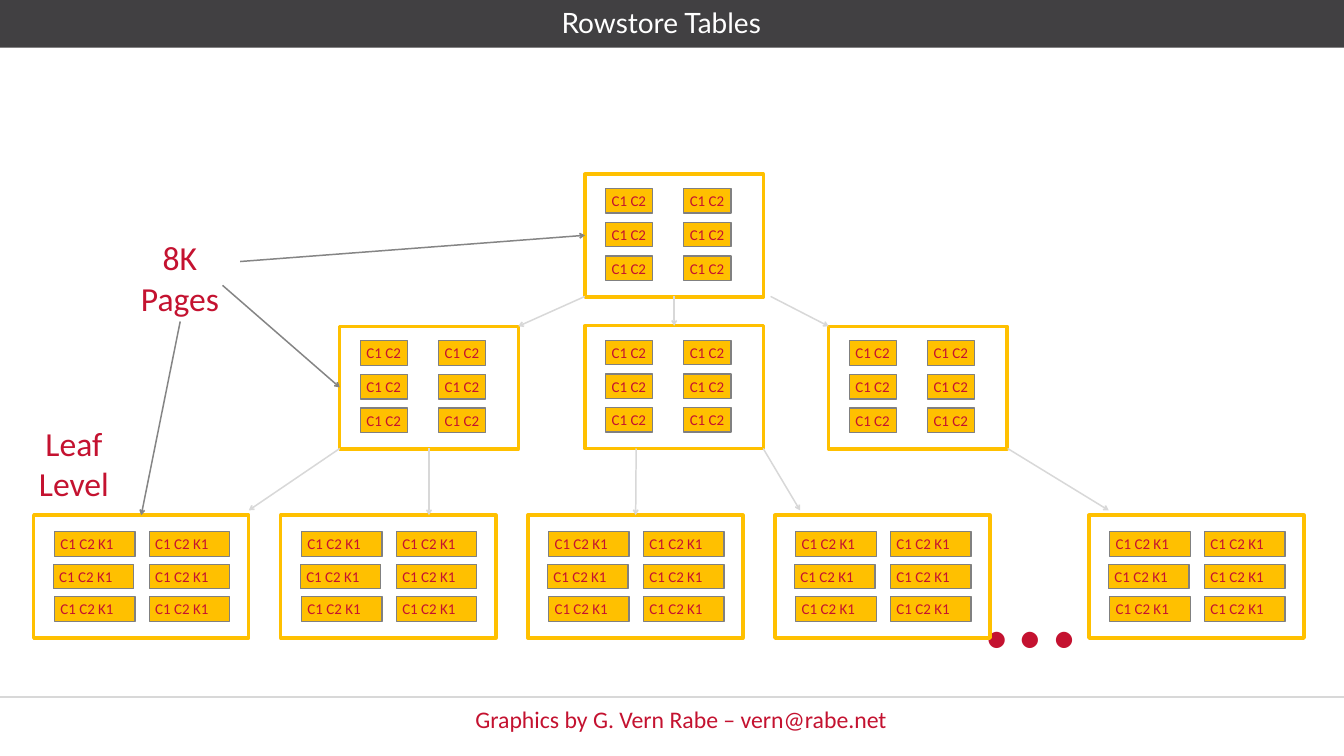
from collections import namedtuple
from itertools import product

from pptx import Presentation
from pptx import util as u
from pptx.dml.color import RGBColor
from pptx.enum import shapes, text
from pptx.oxml.ns import qn
from lxml import etree

THEME = {
    "bar": "414042", "rule": "D8D8D8", "gold": "FFC000", "edge": "808080",
    "red": "C41230", "white": "FFFFFF", "pointer": "858585",
    "title_font": "Lato", "body_font": "Calibri",
    "title": 33, "label": 39.6, "key": 17.6, "dots": 158.3, "footer": 28,
    "page_line": 4, "key_line": 1.5, "arrow_line": 1.75, "rule_line": 2,
}
SLIDE_SIZE = (55.86, 31.42)
BAR = (0, 0, SLIDE_SIZE[0], 1.98)
RULE_TOP = 28.96

TITLE = ("Rowstore Tables", (2.77, 0.2, 49.43, 1.42))
DOTS = ("…", (40.69, 21.21, 4.39, 7.04))
LABELS = [
    ("Leaf\nLevel", (1.35, 17.45, 3.45, 3.63)),
    ("8K\nPages", (5.59, 9.73, 3.78, 3.63)),
]
FOOTER = ("Graphics by G. Vern Rabe – vern@rabe.net", (19.51, 29.18, 17.81, 1.45))

PageKind = namedtuple("PageKind", "key size key_size columns top step middle_shift")
BRANCH = PageKind("C1 C2", (7.42, 5.11), (1.96, 1.02), (0.86, 4.11), 0.6, 1.4, 0)
LEAF = PageKind("C1 C2 K1", (8.94, 5.11), (3.35, 1.02), (0.86, 4.8), 0.69, 1.35, -0.05)
ROWS = 3

BRANCH_PAGES = [(24.31, 7.24), (14.12, 13.56), (24.31, 13.54), (34.44, 13.56)]
LEAF_TOP, LEAF_LEFT, LEAF_PITCH, LAST_LEAF = 21.41, 1.4, 10.27, 45.26
LEAF_PAGES = [(LEAF_LEFT + LEAF_PITCH * i, LEAF_TOP) for i in range(4)]
LEAF_PAGES.append((LAST_LEAF, LEAF_TOP))

TREE_ARROWS = [
    (24.31, 12.32, 21.54, 13.56),
    (28.02, 12.32, 28.02, 13.54),
    (32.03, 12.32, 34.44, 13.56),
    (14.12, 18.64, 10.34, 21.21),
    (17.83, 18.64, 17.83, 21.41),
    (26.44, 18.64, 26.42, 21.41),
    (31.72, 18.64, 33.25, 21.21),
    (41.88, 18.64, 46.08, 21.21),
]
LABEL_ARROWS = [
    (9.98, 10.87, 24.31, 9.78),
    (9.25, 11.86, 14.12, 16.1),
    (7.49, 13.36, 5.87, 21.41),
]


def color(name):
    return RGBColor.from_string(THEME[name])


def lengths(values):
    return [u.Cm(value) for value in values]


def write(shape, words, size, ink="red", font="body_font", align="LEFT", wrap=False):
    frame = shape.text_frame
    frame.text = words
    frame.word_wrap = wrap
    frame.auto_size = text.MSO_AUTO_SIZE.SHAPE_TO_FIT_TEXT
    for paragraph in frame.paragraphs:
        paragraph.alignment = getattr(text.PP_ALIGN, align)
        for run in paragraph.runs:
            run.font.size = u.Pt(THEME[size])
            run.font.name = THEME[font]
            run.font.color.rgb = color(ink)


def add_text(slide, words, box, size, **style):
    shape = slide.shapes.add_textbox(*lengths(box))
    write(shape, words, size, **style)
    return shape


def add_box(slide, box, fill=None, line=None, width=None):
    shape = slide.shapes.add_shape(shapes.MSO_SHAPE.RECTANGLE, *lengths(box))
    shape.shadow.inherit = False
    if fill:
        shape.fill.solid()
        shape.fill.fore_color.rgb = color(fill)
    else:
        shape.fill.background()
    if line:
        shape.line.color.rgb = color(line)
        shape.line.width = u.Pt(THEME[width])
    else:
        shape.line.fill.background()
    return shape


def add_line(slide, ends, ink, width, arrow=False):
    line = slide.shapes.add_connector(shapes.MSO_CONNECTOR.STRAIGHT, *lengths(ends))
    line.line.color.rgb = color(ink)
    line.line.width = u.Pt(THEME[width])
    properties = line._element.spPr
    if arrow:
        etree.SubElement(properties.find(qn("a:ln")), qn("a:tailEnd"), type="arrow")
    etree.SubElement(properties, qn("a:effectLst"))


def add_page(slide, left, top, kind):
    add_box(slide, (left, top, *kind.size), line="gold", width="page_line")
    for row, (column, offset) in product(range(ROWS), enumerate(kind.columns)):
        shift = kind.middle_shift if (row, column) == (1, 0) else 0
        place = (left + offset + shift, top + kind.top + row * kind.step)
        key = add_box(slide, (*place, *kind.key_size), "gold", "edge", "key_line")
        write(key, kind.key, "key", wrap=kind is LEAF)


def main():
    presentation = Presentation()
    presentation.slide_width, presentation.slide_height = lengths(SLIDE_SIZE)
    slide = presentation.slides.add_slide(presentation.slide_layouts[6])

    add_box(slide, BAR, fill="bar")
    add_line(slide, (0, RULE_TOP, SLIDE_SIZE[0], RULE_TOP), "rule", "rule_line")
    title = add_text(slide, *TITLE, "title", ink="white", font="title_font",
                     align="CENTER", wrap=True)
    frame = title.text_frame
    frame.margin_left = frame.margin_right = frame.margin_top = frame.margin_bottom = 0
    frame.vertical_anchor = text.MSO_ANCHOR.MIDDLE

    add_text(slide, *DOTS, "dots")
    for words, box in LABELS:
        add_text(slide, words, box, "label", align="CENTER")
    for kind, pages in ((BRANCH, BRANCH_PAGES), (LEAF, LEAF_PAGES)):
        for left, top in pages:
            add_page(slide, left, top, kind)
    for ink, arrows in (("rule", TREE_ARROWS), ("pointer", LABEL_ARROWS)):
        for ends in arrows:
            add_line(slide, ends, ink, "arrow_line", arrow=True)
    add_text(slide, *FOOTER, "footer")

    presentation.save("out.pptx")


if __name__ == "__main__":
    main()
